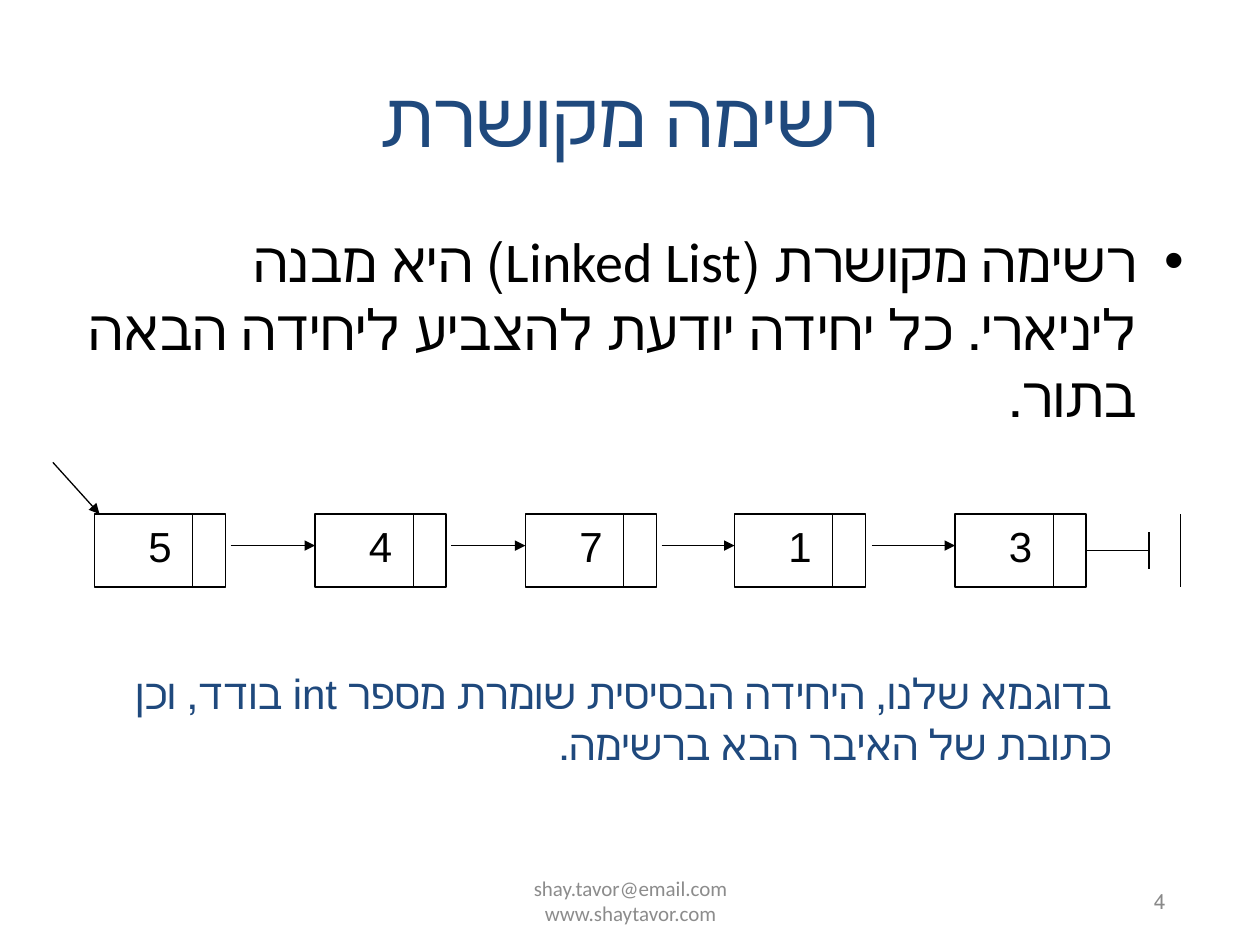
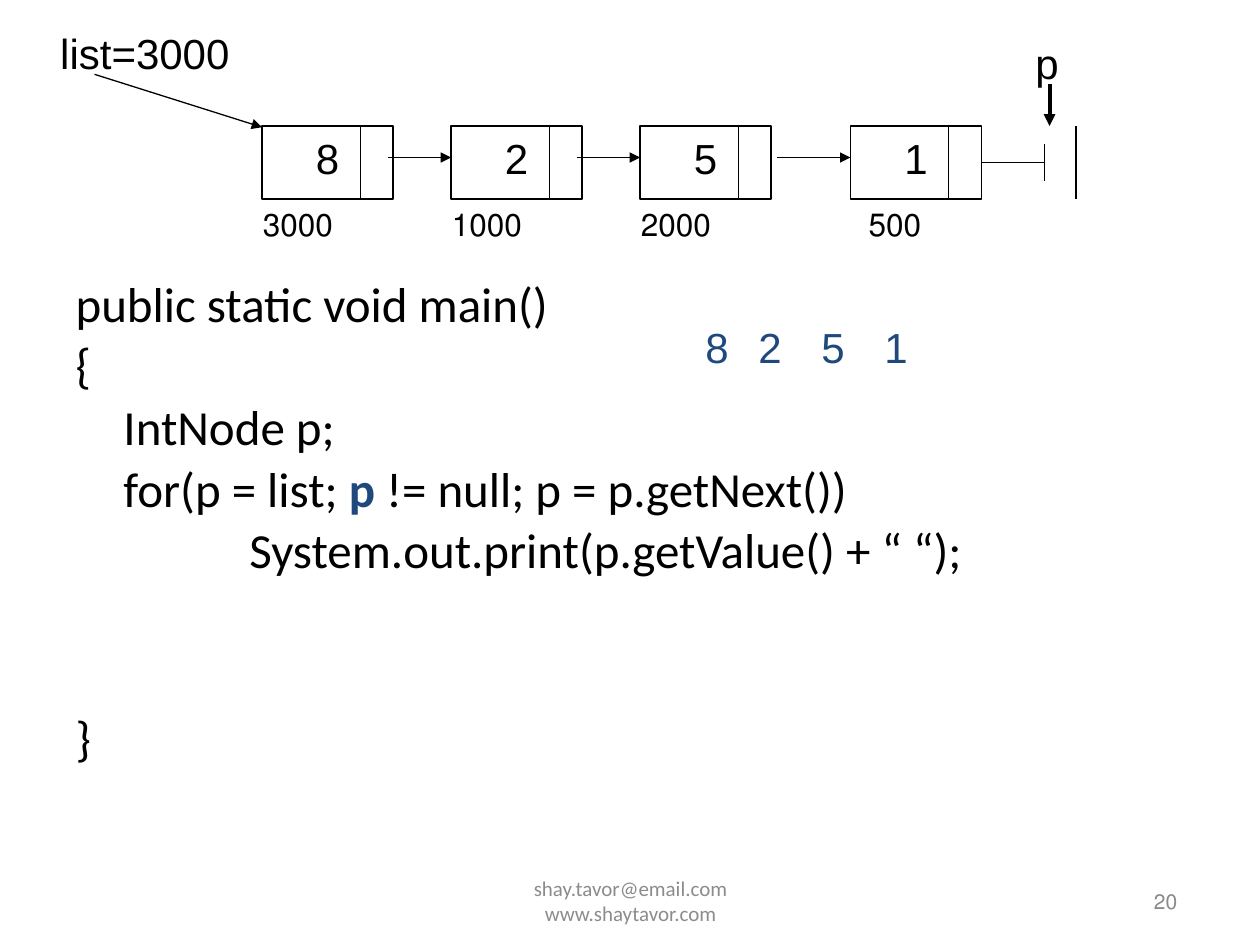
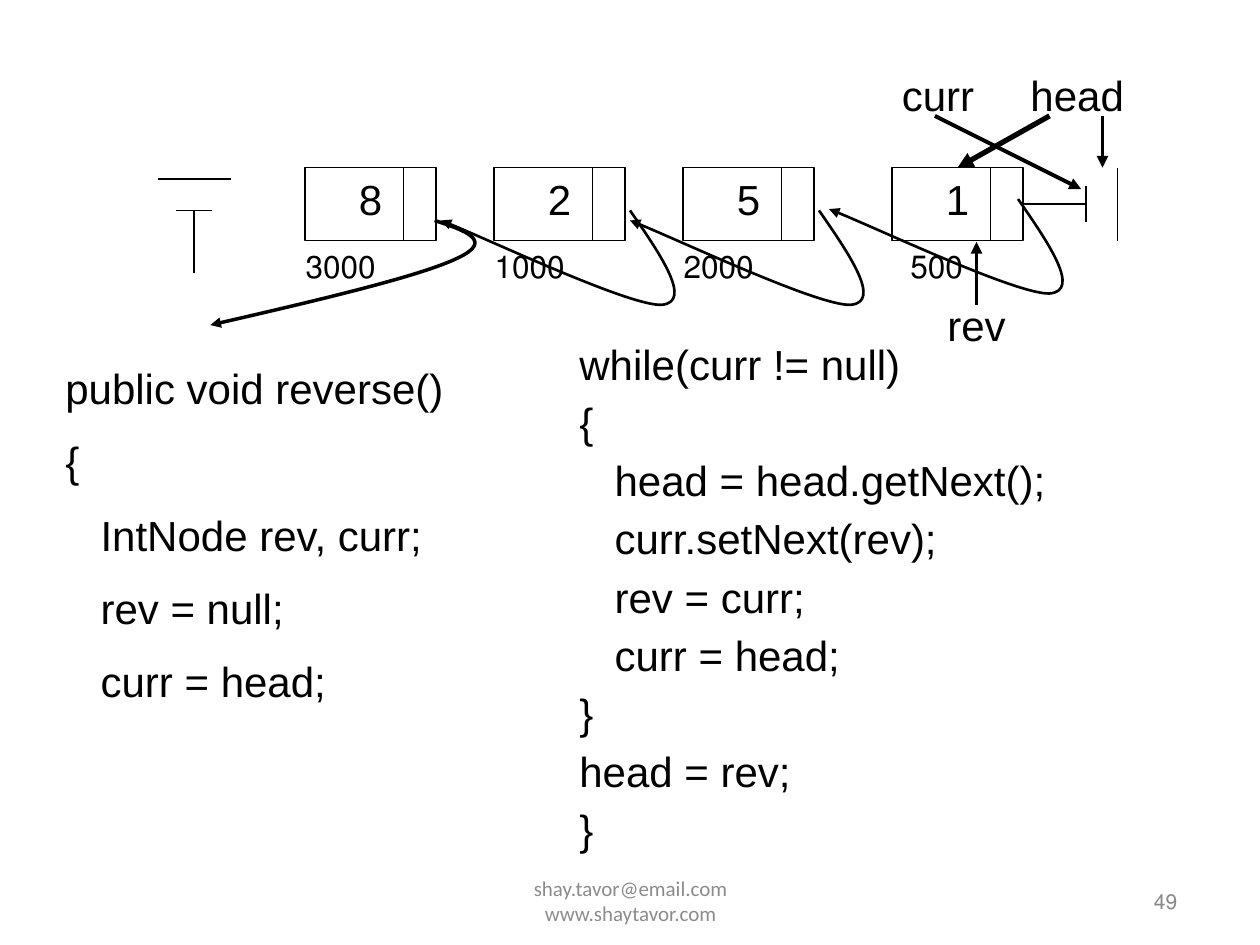
from dataclasses import dataclass

from lxml import etree
from pptx import Presentation
from pptx.dml.color import RGBColor
from pptx.enum.shapes import MSO_CONNECTOR, MSO_SHAPE
from pptx.enum.text import MSO_ANCHOR, MSO_AUTO_SIZE, PP_ALIGN
from pptx.oxml.ns import qn
from pptx.util import Inches, Pt

LEFT, CENTER, RIGHT = PP_ALIGN.LEFT, PP_ALIGN.CENTER, PP_ALIGN.RIGHT
TOP, MIDDLE = MSO_ANCHOR.TOP, MSO_ANCHOR.MIDDLE
FIXED, GROW = MSO_AUTO_SIZE.NONE, MSO_AUTO_SIZE.SHAPE_TO_FIT_TEXT
STRAIGHT, RECTANGLE = MSO_CONNECTOR.STRAIGHT, MSO_SHAPE.RECTANGLE


@dataclass(frozen=True)
class Theme:
    ink: str = "000000"
    paper: str = "FFFFFF"
    accent: str = "1F497D"
    footer: str = "8C8C8C"
    page: str = "898989"
    heading_font: str = "Calibri"
    label_font: str = "Arial"
    node_font: str = "Times New Roman"
    title_size: int = 44
    body_size: int = 32
    code_size: int = 28
    label_size: int = 24
    address_size: int = 18
    footer_size: int = 12
    thin: float = 0.75
    loop: float = 1.5
    curve: float = 2
    bold: float = 2.25
    heavy: float = 3


THEME = Theme()
NODE_W, NODE_H, NODE_SPLIT = 1.04, 0.58, 0.78

Point = tuple[float, float]
Box = tuple[float, float, float, float]


@dataclass(frozen=True)
class Line:
    """One paragraph; every second phrase is accented."""
    phrases: tuple[str, ...]
    indent: float | None = None
    before: float | None = None


@dataclass(frozen=True)
class Node:
    value: str
    left: float
    address: str = ""


# ---- Text ----
def write(frame, text: str | list[Line], *, size: float = THEME.label_size,
          font: str = THEME.label_font, complex_font: str = "",
          color: str = THEME.ink, align=LEFT, rtl: bool = False, anchor=TOP,
          fit=FIXED, before: float = 0, spacing: float | None = None) -> None:
    frame.word_wrap = True
    frame.auto_size = fit
    frame.vertical_anchor = anchor
    lines = [Line((text,))] if isinstance(text, str) else text
    for number, line in enumerate(lines):
        paragraph = frame.add_paragraph() if number else frame.paragraphs[0]
        paragraph.alignment = align
        paragraph.space_before = Pt(before if line.before is None else line.before)
        if spacing:
            paragraph.line_spacing = spacing
        properties = paragraph._p.get_or_add_pPr()
        properties.set("rtl", str(int(rtl)))
        if line.indent is not None:
            properties.set("marL", str(Inches(line.indent)))
            properties.set("indent", "0")
            etree.SubElement(properties, qn("a:buNone"))
        for index, phrase in enumerate(line.phrases):
            accented = index % 2 == 1
            for row, words in enumerate(phrase.split("\n")):
                if row:
                    paragraph.add_line_break()
                run = paragraph.add_run()
                run.text = words
                run.font.name = font
                run.font.size = Pt(size)
                run.font.bold = accented
                run.font.color.rgb = RGBColor.from_string(
                    THEME.accent if accented else color)
                if complex_font:
                    etree.SubElement(run.font._element, qn("a:cs"),
                                     typeface=complex_font)


def label(slide, text: str | list[Line], box: Box, **format_options) -> None:
    textbox = slide.shapes.add_textbox(*map(Inches, box))
    write(textbox.text_frame, text, **format_options)


def caption(slide, text: str, box: Box, **format_options) -> None:
    options = dict(align=RIGHT, rtl=True, fit=GROW, before=13) | format_options
    label(slide, text, box, **options)


def place(placeholder, box: Box):
    placeholder.left, placeholder.top, placeholder.width, placeholder.height = map(
        Inches, box)
    return placeholder.text_frame


# ---- Lines and curves ----
def style_line(shape, width: float, arrow: bool) -> None:
    shape.line.color.rgb = RGBColor.from_string(THEME.ink)
    shape.line.width = Pt(width)
    if arrow:
        outline = shape.element.spPr.find(qn("a:ln"))
        etree.SubElement(outline, qn("a:tailEnd"), type="triangle")


def connect(slide, start: Point, end: Point, width: float = THEME.thin,
            arrow: bool = False) -> None:
    connector = slide.shapes.add_connector(
        STRAIGHT, *map(Inches, (*start, *end)))
    style_line(connector, width, arrow)
    etree.SubElement(connector.element.spPr, qn("a:effectLst"))


def curve_arrow(slide, points: list[Point], width: float) -> None:
    """Draw cubic segments: a start point, then three points per segment."""
    start, *controls = [(Inches(x), Inches(y)) for x, y in points]
    builder = slide.shapes.build_freeform(*start)
    builder.add_line_segments(controls, close=False)
    shape = builder.convert_to_shape()
    outline = next(shape.element.iter(qn("a:path")))
    segments = outline.findall(qn("a:lnTo"))
    for first in range(0, len(segments), 3):
        bezier = etree.SubElement(outline, qn("a:cubicBezTo"))
        for segment in segments[first:first + 3]:
            bezier.append(segment[0])
            outline.remove(segment)
    shape.fill.background()
    shape.shadow.inherit = False
    style_line(shape, width, True)


# ---- Linked list elements ----
def draw_node(slide, node: Node, top: float) -> None:
    cell = slide.shapes.add_shape(
        RECTANGLE, *map(Inches, (node.left, top, NODE_W, NODE_H)))
    cell.shadow.inherit = False
    cell.fill.solid()
    cell.fill.fore_color.rgb = RGBColor.from_string(THEME.paper)
    style_line(cell, THEME.thin, False)
    write(cell.text_frame, node.value, font=THEME.node_font,
          complex_font=THEME.label_font, align=CENTER, rtl=True)
    split = node.left + NODE_SPLIT
    connect(slide, (split, top), (split, top + NODE_H))
    if node.address:
        caption(slide, node.address, (node.left - 0.17, top + NODE_H, 0.83, 0.4),
                size=THEME.address_size)


def draw_null(slide, start: Point, direction: Point) -> None:
    """Draw a stem and two crossing bars along a unit direction."""
    (x, y), (dx, dy) = start, direction
    connect(slide, start, (x + dx * 0.5, y + dy * 0.5))
    for distance, half in ((0.5, 0.145), (0.75, 0.29)):
        bar_x, bar_y = x + dx * distance, y + dy * distance
        connect(slide, (bar_x - dy * half, bar_y - dx * half),
                (bar_x + dy * half, bar_y + dx * half))


def draw_list(slide, nodes: list[Node], top: float) -> None:
    for node in nodes:
        draw_node(slide, node, top)
    draw_null(slide, (nodes[-1].left + NODE_W, top + 0.29), (1, 0))


def draw_links(slide, spans: list[Point], y: float) -> None:
    for start, end in spans:
        connect(slide, (start, y), (end, y), arrow=True)


def footer(slide, page: str) -> None:
    common = dict(size=THEME.footer_size, font=THEME.heading_font,
                  rtl=True, anchor=MIDDLE)
    label(slide, "shay.tavor@email.com\nwww.shaytavor.com", (3.42, 6.95, 3.17, 0.4),
          color=THEME.footer, align=CENTER, **common)
    label(slide, page, (9.06, 6.95, 0.44, 0.4), color=THEME.page, **common)


# ---- Slides ----
def definition_slide(deck) -> None:
    slide = deck.slides.add_slide(deck.slide_layouts[1])
    write(place(slide.shapes.title, (0.5, 0.3, 9, 1.25)), "רשימה מקושרת",
          size=THEME.title_size, font=THEME.heading_font, color=THEME.accent,
          align=CENTER, rtl=True, anchor=MIDDLE)
    write(place(slide.placeholders[1], (0.5, 1.75, 9, 1.83)),
          "רשימה מקושרת (Linked List) היא מבנה ליניארי. "
          "כל יחידה יודעת להצביע ליחידה הבאה בתור.",
          size=THEME.body_size, font=THEME.heading_font, align=RIGHT, rtl=True,
          before=6)
    draw_list(slide, [Node("5", 0.75), Node("4", 2.5), Node("7", 4.17),
                      Node("1", 5.83), Node("3", 7.58)], 4.08)
    connect(slide, (0.42, 3.67), (0.79, 4.08), arrow=True)
    draw_links(slide, [(1.83, 2.5), (3.58, 4.17), (5.25, 5.83), (6.92, 7.58)], 4.33)
    caption(slide, "בדוגמא שלנו, היחידה הבסיסית שומרת מספר int בודד, "
            "וכן כתובת של האיבר הבא ברשימה.", (0.92, 5.25, 8, 0.91),
            color=THEME.accent)
    footer(slide, "4")


def traversal_slide(deck) -> None:
    slide = deck.slides.add_slide(deck.slide_layouts[1])
    unused_title = slide.shapes.title.element
    unused_title.getparent().remove(unused_title)
    write(place(slide.placeholders[1], (0.5, 2.17, 8.67, 4.42)), [
        Line(("public static void main()",), 0),
        Line(("{",), 0),
        Line(("IntNode p;",), 0.38),
        Line(("for(p = list; ", "p", " != null; p = p.getNext())"), 0.38),
        Line(("System.out.print(p.getValue() + “ “);",), 1.38),
        Line(("}",), 0, before=77),
    ], size=THEME.code_size, font=THEME.heading_font, before=5, spacing=0.9)

    # List with its head and the current pointer
    draw_list(slide, [Node("8", 2.08, "3000"), Node("2", 3.58, "1000"),
                      Node("5", 5.08, "2000"), Node("1", 6.75, "500")], 1)
    draw_links(slide, [(3.08, 3.58), (4.58, 5.08), (6.17, 6.75)], 1.25)
    caption(slide, "list=3000", (0.25, 0.17, 1.67, 0.5))
    connect(slide, (0.75, 0.59), (2.08, 1.01), arrow=True)
    caption(slide, "p", (7.92, 0.25, 0.58, 0.5))
    connect(slide, (8.33, 0.67), (8.33, 1), THEME.bold, arrow=True)

    # Printed values
    for value, left in zip("8251", (5.5, 5.92, 6.42, 6.92)):
        caption(slide, value, (left, 2.5, 0.42, 0.5), color=THEME.accent,
                align=LEFT, rtl=False)
    footer(slide, "20")


def reversal_slide(deck) -> None:
    slide = deck.slides.add_slide(deck.slide_layouts[6])
    draw_list(slide, [Node("8", 2.42, "3000"), Node("2", 3.92, "1000"),
                      Node("5", 5.42, "2000"), Node("1", 7.08, "500")], 1.33)
    draw_null(slide, (1.54, 2.17), (0, -1))

    # Reversed links
    curve_arrow(slide, [(3.45, 1.75), (3.69, 1.83), (3.93, 1.91), (3.63, 2.05),
                        (3.34, 2.19), (2.5, 2.39), (1.67, 2.58)], THEME.curve)
    loop = [(0, 0), (0.25, 0.36), (0.5, 0.73), (0.25, 0.75),
            (0, 0.76), (-1.21, 0.19), (-1.5, 0.08)]
    for x, y in ((5, 1.67), (6.5, 1.67), (8.08, 1.58)):
        curve_arrow(slide, [(x + dx, y + dy) for dx, dy in loop], THEME.loop)

    # Pointers
    caption(slide, "head", (8.08, 0.5, 1.25, 0.5), align=LEFT, rtl=False)
    caption(slide, "curr", (6.83, 0.5, 1, 0.5))
    caption(slide, "rev", (7.08, 2.33, 1, 0.5))
    for start, end, width in (
            ((8.75, 0.92), (8.75, 1.33), THEME.bold),
            ((7.75, 2.42), (7.75, 1.92), THEME.bold),
            ((7.42, 0.92), (8.58, 1.5), THEME.bold),
            ((8.33, 0.92), (7.6, 1.33), THEME.heavy)):
        connect(slide, start, end, width, arrow=True)

    # Code in two columns
    step = 0.28
    label(slide, [
        Line(("public void reverse()",)),
        Line(("{",)),
        Line(("IntNode rev, curr;",), step),
        Line(("rev = null;",), step),
        Line(("curr = head;",), step),
    ], (0.42, 2.83, 3.75, 3.53), fit=GROW, before=13)
    label(slide, [
        Line(("while(curr != null)",)),
        Line(("{",)),
        Line(("head = head.getNext();",), step),
        Line(("curr.setNext(rev);",), step),
        Line(("rev = curr;",), step),
        Line(("curr = head;",), step),
        Line(("}",)),
        Line(("head = rev;",)),
        Line(("}",)),
    ], (4.5, 2.75, 4.5, 4.27), fit=GROW, before=13, spacing=0.7)
    footer(slide, "49")


def main() -> None:
    deck = Presentation()
    deck.slide_width, deck.slide_height = Inches(10), Inches(7.5)
    definition_slide(deck)
    traversal_slide(deck)
    reversal_slide(deck)
    deck.save("out.pptx")


main()
